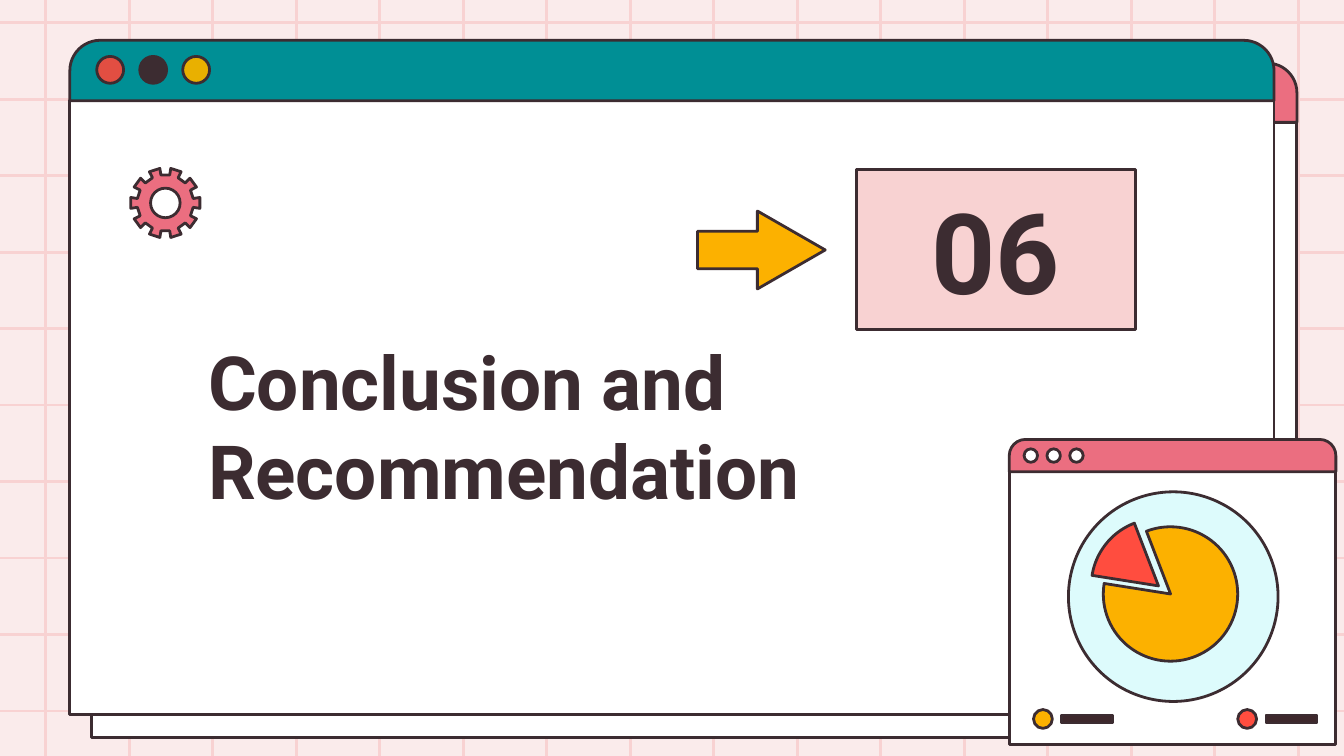
import math

import pptx
import pptx.dml.color
import pptx.enum.shapes
import pptx.enum.text
import pptx.oxml.ns
import pptx.util
from lxml import etree

Inches = pptx.util.Inches
SHAPE = pptx.enum.shapes.MSO_SHAPE
ALIGN = pptx.enum.text.PP_ALIGN
ANCHOR = pptx.enum.text.MSO_ANCHOR

WIDTH = 10
HEIGHT = WIDTH * 9 / 16
COLORS = {
    "background": "FAEBEB",
    "grid": "F8D2D2",
    "ink": "3C2C31",
    "bar": "3E282C",
    "white": "FFFFFF",
    "teal": "008F95",
    "pink": "EB6E80",
    "brick": "E24E42",
    "mustard": "E9B000",
    "yellow": "FCB100",
    "red": "FF4D3F",
    "ice": "DDFBFC",
}


def rgb(name):
    return pptx.dml.color.RGBColor.from_string(COLORS[name])


def write_text(shape, text, size, align=ALIGN.LEFT, anchor=ANCHOR.MIDDLE):
    frame = shape.text_frame
    frame.word_wrap = True
    frame.vertical_anchor = anchor
    frame.margin_left = frame.margin_right = Inches(0.1)
    frame.margin_top = frame.margin_bottom = Inches(0.1)
    paragraph = frame.paragraphs[0]
    paragraph.text = text
    paragraph.alignment = align
    font = paragraph.font
    font.name, font.size, font.bold = "Roboto", pptx.util.Pt(size), True
    font.color.rgb = rgb("ink")


class SlideBuilder:
    def __init__(self, slide, line_color="ink", line_width=1.5):
        self.slide = slide
        self.line_color = line_color
        self.line_width = pptx.util.Pt(line_width)

    def style(self, shape, fill):
        shape.shadow.inherit = False
        shape.fill.solid()
        shape.fill.fore_color.rgb = rgb(fill)
        shape.line.color.rgb = rgb(self.line_color)
        shape.line.width = self.line_width
        return shape

    def shape(self, kind, left, top, width, height, fill, adjustments=()):
        shape = self.slide.shapes.add_shape(
            kind, Inches(left), Inches(top), Inches(width), Inches(height))
        for index, value in enumerate(adjustments):
            shape.adjustments[index] = value
        return self.style(shape, fill)

    def circle(self, x, y, radius, fill):
        self.shape(SHAPE.OVAL, x - radius, y - radius, 2 * radius, 2 * radius, fill)

    def pie(self, x, y, radius, start, end, fill):
        """Draw a sector clockwise from start to end, in degrees."""
        self.shape(SHAPE.PIE, x - radius, y - radius, 2 * radius, 2 * radius, fill,
                   [start * 0.6, end * 0.6])

    def line(self, x1, y1, x2, y2, color):
        connector = self.slide.shapes.add_connector(
            pptx.enum.shapes.MSO_CONNECTOR.STRAIGHT,
            Inches(x1), Inches(y1), Inches(x2), Inches(y2))
        connector.line.color.rgb = rgb(color)
        connector.line.width = self.line_width
        properties = connector._element.spPr
        etree.SubElement(properties, pptx.oxml.ns.qn("a:effectLst"))

    def text(self, left, top, width, height, text, **text_format):
        box = self.slide.shapes.add_textbox(
            Inches(left), Inches(top), Inches(width), Inches(height))
        write_text(box, text, **text_format)

    def window(self, left, top, width, bar_height, body_height, bar_fill):
        self.shape(SHAPE.RECTANGLE, left, top + bar_height, width, body_height, "white")
        self.shape(SHAPE.ROUND_2_SAME_RECTANGLE, left, top, width, bar_height,
                   bar_fill, [0.5, 0])

    def gear(self, x, y, outer, inner, hole, teeth=10):
        points = []
        step = 360 / teeth
        for tooth in range(teeth):
            for radius, offset in ((inner, -0.25), (outer, -0.25),
                                   (outer, 0.25), (inner, 0.25)):
                angle = math.radians((tooth + offset) * step)
                points.append((Inches(x + radius * math.cos(angle)),
                               Inches(y + radius * math.sin(angle))))
        builder = self.slide.shapes.build_freeform(*points[0])
        builder.add_line_segments(points[1:], close=True)
        self.style(builder.convert_to_shape(), "pink")
        self.circle(x, y, hole, "white")


def main():
    presentation = pptx.Presentation()
    presentation.slide_width = Inches(WIDTH)
    presentation.slide_height = Inches(HEIGHT)
    slide = presentation.slides.add_slide(presentation.slide_layouts[6])
    slide.background.fill.solid()
    slide.background.fill.fore_color.rgb = rgb("background")
    builder = SlideBuilder(slide)

    # Background grid
    for column in range(16):
        x = 0.34 + column * 9.32 / 15
        builder.line(x, 0, x, HEIGHT, "grid")
    for row in range(10):
        y = 0.17 + row * 5.12 / 9
        builder.line(0, y, WIDTH, y, "grid")

    # Stacked main windows
    builder.window(0.68, 0.47, 8.97, 0.44, 4.58, "pink")
    builder.window(0.52, 0.3, 8.96, 0.45, 4.57, "teal")
    for index, fill in enumerate(("brick", "ink", "mustard")):
        builder.circle(0.82 + index * 0.32, 0.52, 0.1, fill)

    # Section heading
    builder.text(1.45, 2.3, 5.74, 1.63, "Conclusion and Recommendation",
                 size=40, anchor=ANCHOR.BOTTOM)
    number = builder.shape(SHAPE.RECTANGLE, 6.37, 1.26, 2.08, 1.19, "grid")
    write_text(number, "06", size=60, align=ALIGN.CENTER)
    builder.shape(SHAPE.RIGHT_ARROW, 5.19, 1.57, 0.95, 0.58, "yellow", [0.48, 0.87])

    # Small window with pie and legend
    builder.window(7.51, 3.27, 2.43, 0.24, 2.03, "pink")
    for index in range(3):
        builder.circle(7.67 + index * 0.17, 3.39, 0.05, "white")
    for x, fill in ((7.76, "yellow"), (9.28, "red")):
        builder.shape(SHAPE.RECTANGLE, x + 0.14, 5.32, 0.38, 0.06, "bar")
        builder.circle(x, 5.35, 0.07, fill)
    builder.circle(8.73, 4.44, 0.78, "ice")
    builder.pie(8.71, 4.42, 0.5, 249, 189, "yellow")
    builder.pie(8.62, 4.36, 0.5, 189, 249, "red")

    builder.gear(1.23, 1.51, outer=0.26, inner=0.21, hole=0.11)
    presentation.save("out.pptx")


if __name__ == "__main__":
    main()
